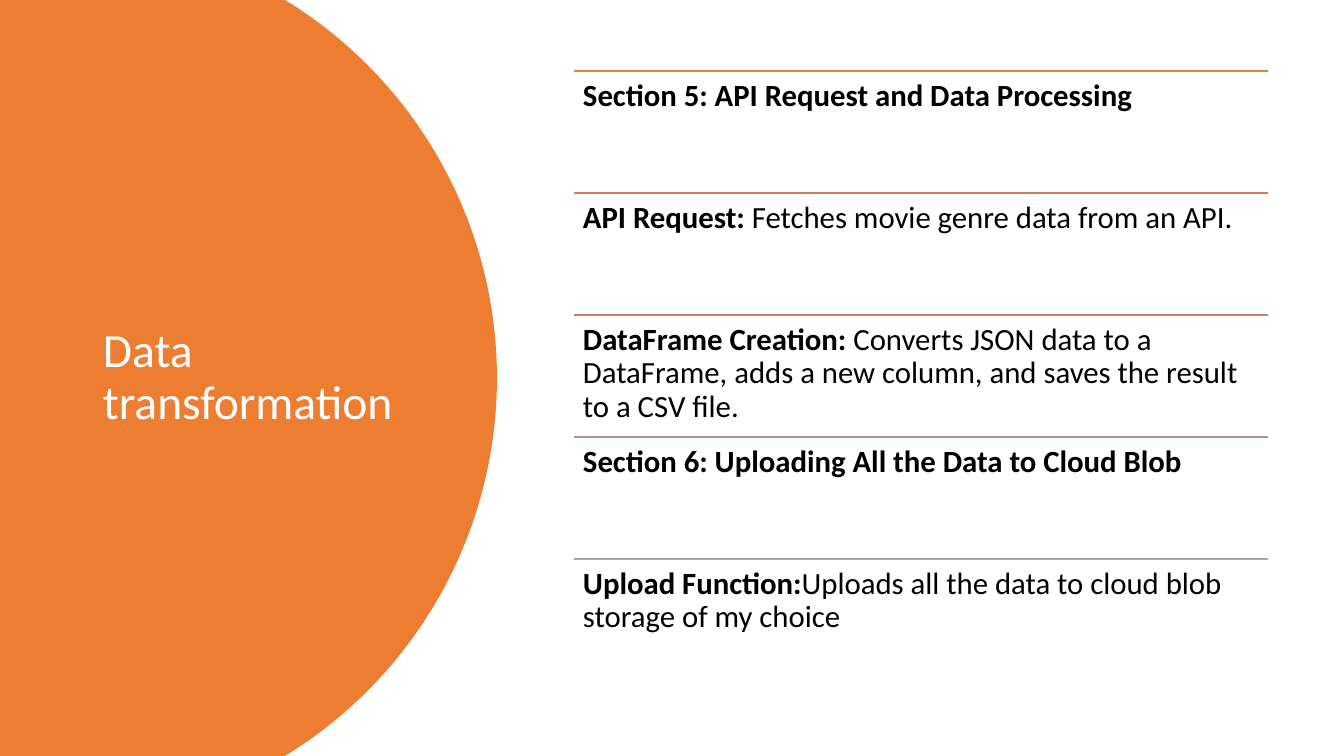
from math import asin, cos, sin

from lxml import etree
from pptx import Presentation
from pptx.dml.color import RGBColor
from pptx.enum.shapes import MSO_CONNECTOR
from pptx.enum.text import MSO_ANCHOR, MSO_AUTO_SIZE, PP_ALIGN
from pptx.oxml.ns import qn
from pptx.util import Pt

STRAIGHT = MSO_CONNECTOR.STRAIGHT
TOP, MIDDLE = MSO_ANCHOR.TOP, MSO_ANCHOR.MIDDLE
LEFT = PP_ALIGN.LEFT
NO_FIT = MSO_AUTO_SIZE.NONE

ORANGE = RGBColor(0xED, 0x7D, 0x31)
WHITE = RGBColor(0xFF, 0xFF, 0xFF)
BLACK = RGBColor(0x00, 0x00, 0x00)
FONT = "Calibri"

# Content: rule colour, bold lead, plain text
TITLE = "Data transformation"
STEPS = [
    (ORANGE, "Section 5: API Request and Data Processing", ""),
    (RGBColor(0xD8, 0x7A, 0x51), "API Request:",
     " Fetches movie genre data from an API."),
    (RGBColor(0xC4, 0x81, 0x70), "DataFrame Creation:",
     " Converts JSON data to a DataFrame, adds a new column, "
     "and saves the result to a CSV file."),
    (RGBColor(0xB4, 0x90, 0x8B), "Section 6: Uploading All the Data to Cloud Blob", ""),
    (RGBColor(0xA5, 0xA5, 0xA5), "Upload Function:",
     "Uploads all the data to cloud blob storage of my choice"),
]

# Layout in px
PAGE_WIDTH, PAGE_HEIGHT = 1344, 756
CIRCLE_X, CIRCLE_Y, RADIUS = 54, 378, 443
ARC_STEPS = 120
TITLE_BOX = (93, 71, 326, 614)
LIST_LEFT, LIST_TOP, LIST_WIDTH, ROW_HEIGHT = 574, 71, 694, 122
TITLE_INSET, ROW_INSET = 10, 9


def px(length):
    return round(length * 914400 / 100.8)


def write(box, parts, size, color, inset, anchor):
    """Fill the box with one paragraph of (text, bold) parts."""
    frame = box.text_frame
    frame.word_wrap = True
    frame.auto_size = NO_FIT
    frame.vertical_anchor = anchor
    frame.margin_left = frame.margin_right = px(inset)
    frame.margin_top = frame.margin_bottom = px(inset)
    para = frame.paragraphs[0]
    para.alignment = LEFT
    para.line_spacing = 0.9
    for text, bold in parts:
        if text:
            span = para.add_run()
            span.text = text
            span.font.name = FONT
            span.font.size = Pt(size)
            span.font.bold = bold
            span.font.color.rgb = color


def add_panel(page):
    """Draw the page's left side, closed by an arc from top to bottom."""
    half_angle = asin(CIRCLE_Y / RADIUS)
    angles = [half_angle * (2 * step / ARC_STEPS - 1) for step in range(ARC_STEPS + 1)]
    arc = [(px(CIRCLE_X + RADIUS * cos(angle)), px(CIRCLE_Y + RADIUS * sin(angle)))
           for angle in angles]
    builder = page.shapes.build_freeform(0, 0)
    builder.add_line_segments(arc + [(0, px(PAGE_HEIGHT))], close=True)
    panel = builder.convert_to_shape()
    panel.shadow.inherit = False
    panel.fill.solid()
    panel.fill.fore_color.rgb = ORANGE
    panel.line.fill.background()
    return panel


def add_rule(page, top, color):
    rule = page.shapes.add_connector(
        STRAIGHT, px(LIST_LEFT), px(top), px(LIST_LEFT + LIST_WIDTH), px(top))
    rule.line.color.rgb = color
    rule.line.width = Pt(1)
    etree.SubElement(rule.element.spPr, qn("a:effectLst"))


def main():
    deck = Presentation()
    deck.slide_width, deck.slide_height = px(PAGE_WIDTH), px(PAGE_HEIGHT)
    page = deck.slides.add_slide(deck.slide_layouts[5])

    # Title on the orange panel
    title = page.shapes.title
    title.left, title.top, title.width, title.height = map(px, TITLE_BOX)
    write(title, [(TITLE, False)], 34, WHITE, TITLE_INSET, MIDDLE)
    title.element.addprevious(add_panel(page).element)

    # Ruled list of steps
    for row, (color, lead, detail) in enumerate(STEPS):
        top = LIST_TOP + row * ROW_HEIGHT
        add_rule(page, top, color)
        box = page.shapes.add_textbox(
            px(LIST_LEFT), px(top), px(LIST_WIDTH), px(ROW_HEIGHT))
        write(box, [(lead, True), (detail, False)], 22, BLACK, ROW_INSET, TOP)

    deck.save("out.pptx")


if __name__ == "__main__":
    main()
